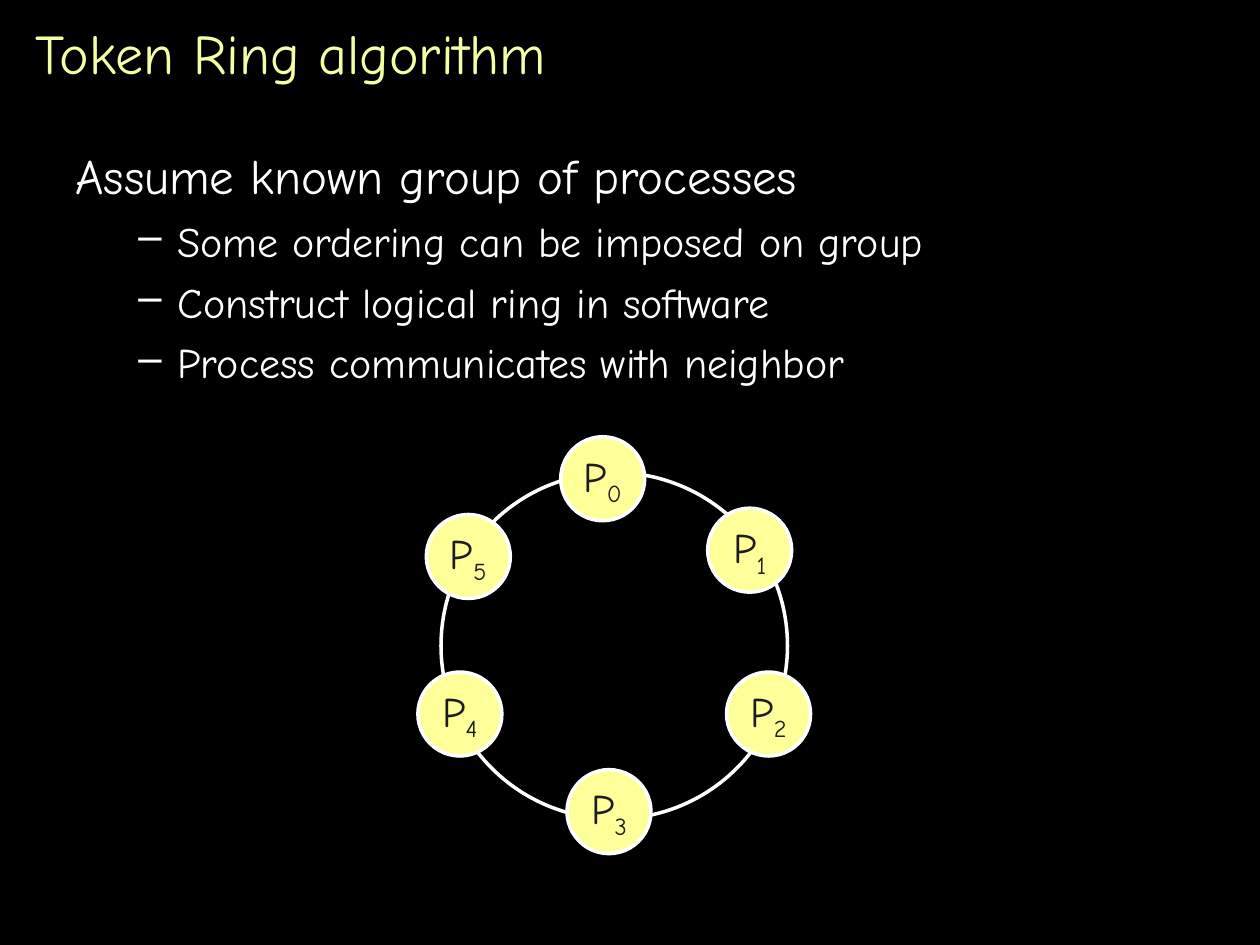
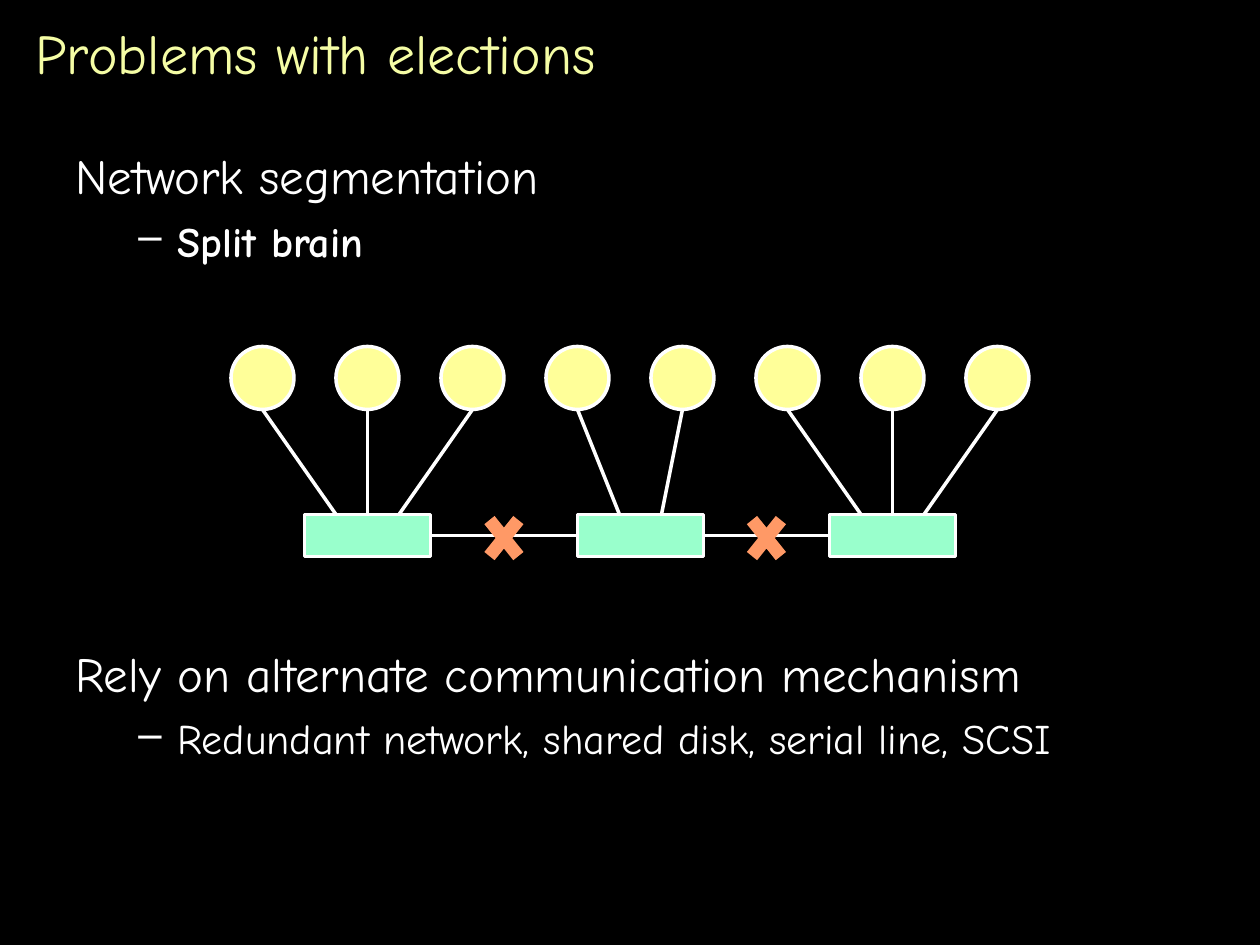
from dataclasses import dataclass

import lxml.etree
import pptx
import pptx.dml.color
import pptx.enum.shapes
import pptx.enum.text
import pptx.oxml.ns
import pptx.util

PRESET = pptx.enum.shapes.MSO_SHAPE
ALIGN = pptx.enum.text.PP_ALIGN
MIDDLE = pptx.enum.text.MSO_ANCHOR.MIDDLE
qn = pptx.oxml.ns.qn


@dataclass(frozen=True)
class Theme:
    font: str = "Comic Neue"
    background: str = "000000"
    title: str = "F5FDA5"
    text: str = "FFFFFF"
    label: str = "1C1C1C"
    process: str = "FFFF99"
    switch: str = "99FFCC"
    failure: str = "FF9966"
    title_size: int = 32
    topic_size: int = 28
    point_size: int = 24
    line_width: int = 2


THEME = Theme()

# The slide is a grid of 120 columns by 90 rows, twelve to the inch
WIDTH, HEIGHT = 120, 90


def cells(count):
    return pptx.util.Inches(count / 12)


def rgb(value):
    return pptx.dml.color.RGBColor.from_string(value)


# Text
def write(frame, text, *, size=THEME.point_size, color=THEME.text, bold=False,
          align=ALIGN.LEFT, subscript="", before=0, margin=0, hanging=0, bullet=""):
    """Fill the frame's empty first paragraph, or add one after it."""
    paragraph = frame.paragraphs[0]
    if paragraph.runs:
        paragraph = frame.add_paragraph()
        paragraph.space_before = pptx.util.Pt(before)
    paragraph.alignment = align
    properties = paragraph._p.get_or_add_pPr()
    properties.set("marL", str(pptx.util.Inches(margin)))
    properties.set("indent", str(-pptx.util.Inches(hanging)))
    if bullet:
        bullet_color = lxml.etree.SubElement(properties, qn("a:buClr"))
        lxml.etree.SubElement(bullet_color, qn("a:srgbClr"), val=color)
        lxml.etree.SubElement(properties, qn("a:buChar"), char=bullet)
    for part, baseline in ((text, 0), (subscript, -25000)):
        if not part:
            continue
        run = paragraph.add_run()
        run.text = part
        run.font.name = THEME.font
        run.font.size = pptx.util.Pt(size)
        run.font.bold = bold
        run.font.color.rgb = rgb(color)
        if baseline:
            run._r.get_or_add_rPr().set("baseline", str(baseline))


def topic(body, text, before=7):
    write(body, text, size=THEME.topic_size, before=before, margin=0.38, hanging=0.38)


def point(body, text, bold=False):
    write(body, text, bold=bold, before=6, margin=0.81, hanging=0.31, bullet="–")


def text_area(slide, left, top, width, height):
    frame = slide.shapes.add_textbox(*map(cells, (left, top, width, height))).text_frame
    frame.word_wrap = True
    return frame


def titled_slide(deck, title):
    """Add a slide with its title and return it with its empty body."""
    slide = deck.slides.add_slide(deck.slide_layouts[6])
    heading = text_area(slide, 2.2, 1, 116, 8)
    heading.vertical_anchor = MIDDLE
    write(heading, title, size=THEME.title_size, color=THEME.title)
    return slide, text_area(slide, 6, 13.3, 108, 67)


# Diagram elements
def centred_shape(shapes, preset, x, y, width, height, fill=None, outlined=True):
    shape = shapes.add_shape(
        preset, *map(cells, (x - width / 2, y - height / 2, width, height)))
    shape.shadow.inherit = False
    if fill:
        shape.fill.solid()
        shape.fill.fore_color.rgb = rgb(fill)
    else:
        shape.fill.background()
    if outlined:
        shape.line.color.rgb = rgb(THEME.text)
        shape.line.width = pptx.util.Pt(THEME.line_width)
    else:
        shape.line.fill.background()
    return shape


def process(shapes, x, y, diameter, number=None):
    circle = centred_shape(shapes, PRESET.OVAL, x, y, diameter, diameter, THEME.process)
    if number is not None:
        label = circle.text_frame
        label.word_wrap = False
        label.vertical_anchor = MIDDLE
        write(label, "P", subscript=str(number), color=THEME.label, align=ALIGN.CENTER)


def link(shapes, *ends):
    line = shapes.add_connector(
        pptx.enum.shapes.MSO_CONNECTOR.STRAIGHT, *map(cells, ends))
    line.line.color.rgb = rgb(THEME.text)
    line.line.width = pptx.util.Pt(THEME.line_width)
    lxml.etree.SubElement(line._element.spPr, qn("a:effectLst"))


# Slides
def token_ring(deck):
    slide, body = titled_slide(deck, "Token Ring algorithm")
    topic(body, "Assume known group of processes")
    for text in ("Some ordering can be imposed on group",
                 "Construct logical ring in software",
                 "Process communicates with neighbor"):
        point(body, text)

    # Logical ring, processes clockwise from the top
    ring = slide.shapes.add_group_shape().shapes
    centred_shape(ring, PRESET.OVAL, 58.5, 61.5, 33, 33)
    places = [(57.4, 45.6), (71.4, 52.4), (73.2, 68),
              (58, 77.3), (43.8, 68), (44.6, 53)]
    for number, (x, y) in enumerate(places):
        process(ring, x, y, 8, number)


def election_problems(deck):
    slide, body = titled_slide(deck, "Problems with elections")
    topic(body, "Network segmentation")
    point(body, "Split brain", bold=True)
    topic(body, "Rely on alternate communication mechanism", before=216)
    point(body, "Redundant network, shared disk, serial line, SCSI")

    # Segments: switch centre and the columns of its hosts
    segments = [(35, (25, 35, 45)), (61, (55, 65)), (85, (75, 85, 95))]
    host_y, host_size = 36, 6
    switch_y, switch_width, switch_height = 51, 12, 4
    shapes = slide.shapes
    for switch_x, hosts in segments:
        centred_shape(shapes, PRESET.RECTANGLE, switch_x, switch_y,
                      switch_width, switch_height, THEME.switch)
        port_gap = switch_width / (len(hosts) + 1)
        for port, host_x in enumerate(hosts, start=1):
            process(shapes, host_x, host_y, host_size)
            link(shapes, host_x, host_y + host_size / 2,
                 switch_x - switch_width / 2 + port * port_gap,
                 switch_y - switch_height / 2)

    # Broken links between neighbouring switches
    for (left_switch, _), (right_switch, _) in zip(segments, segments[1:]):
        start, end = left_switch + switch_width / 2, right_switch - switch_width / 2
        link(shapes, start, switch_y, end, switch_y)
        centred_shape(shapes, PRESET.MATH_MULTIPLY, (start + end) / 2, switch_y + 0.25,
                      5.3, 6.6, THEME.failure, outlined=False)


def main():
    deck = pptx.Presentation()
    deck.slide_width, deck.slide_height = cells(WIDTH), cells(HEIGHT)
    backdrop = deck.slide_master.background.fill
    backdrop.solid()
    backdrop.fore_color.rgb = rgb(THEME.background)
    token_ring(deck)
    election_problems(deck)
    deck.save("out.pptx")


if __name__ == "__main__":
    main()
